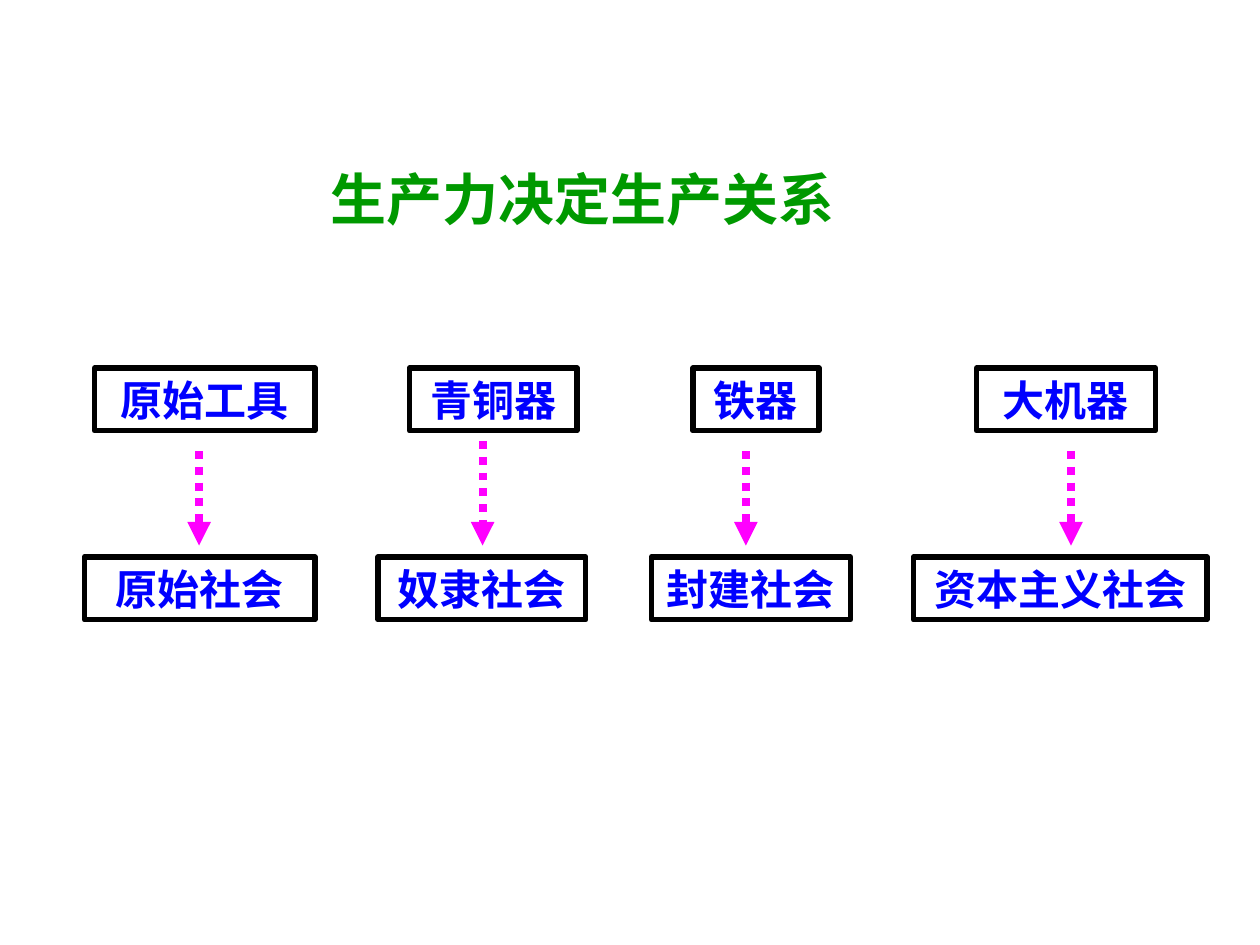
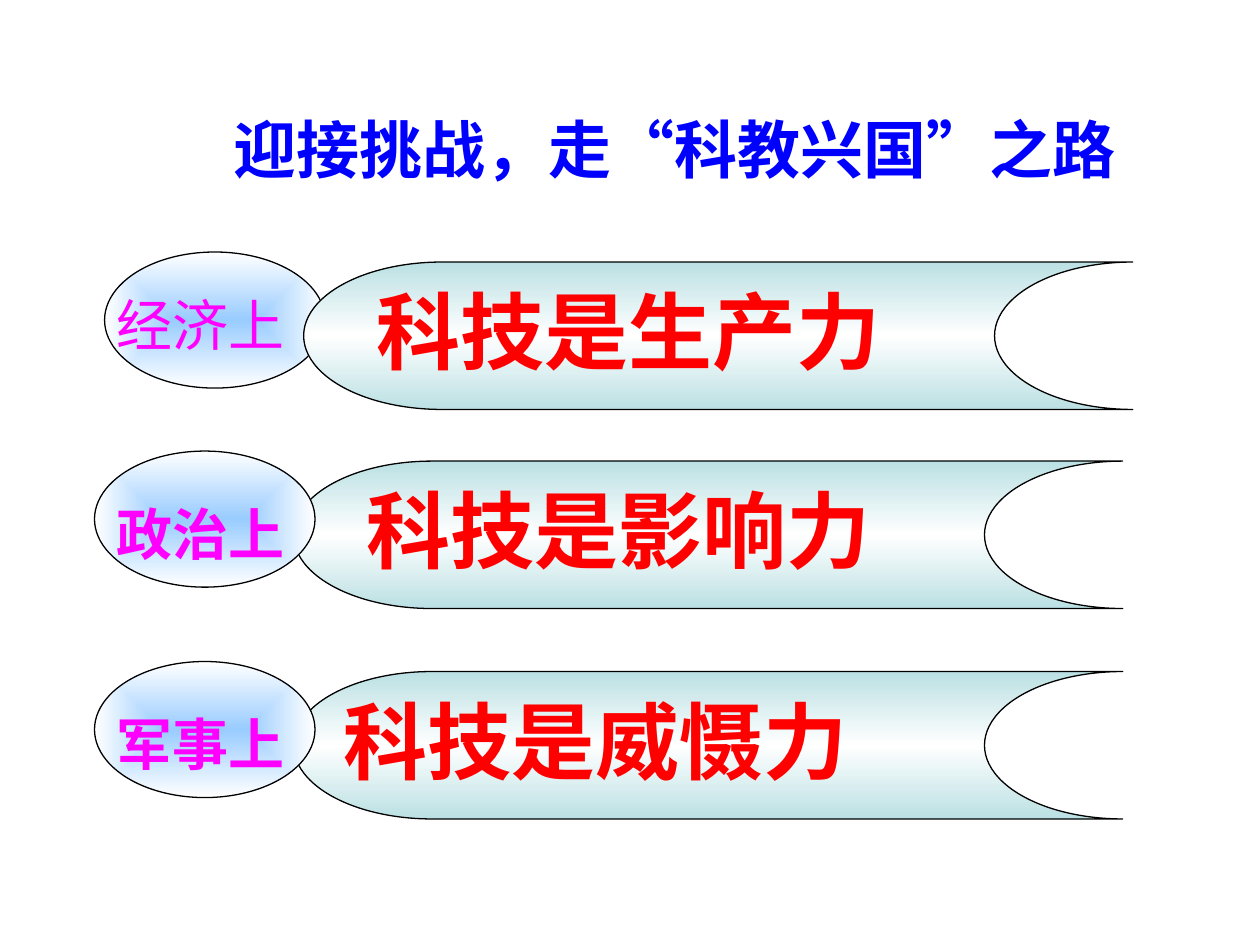
import pptx
import pptx.dml.color
import pptx.enum.dml
import pptx.enum.shapes
import pptx.enum.text
import pptx.oxml
import pptx.oxml.ns
import pptx.util
from dataclasses import dataclass

Inches = pptx.util.Inches
Align = pptx.enum.text.PP_ALIGN
Shape = pptx.enum.shapes.MSO_SHAPE


@dataclass(frozen=True)
class Theme:
    green: str = "009900"
    blue: str = "0000FF"
    magenta: str = "FF00FF"
    red: str = "FF0000"
    black: str = "000000"
    white: str = "FFFFFF"
    sky: str = "99CCFF"
    teal: str = "BBE0E3"
    latin: str = "Times New Roman"
    chinese: str = "Noto Sans CJK SC"
    heading: str = "Noto Sans CJK JP"
    box_size: int = 24
    label_size: int = 32
    title_size: int = 36
    motto_size: int = 48


THEME = Theme()


def rgb(code):
    return pptx.dml.color.RGBColor.from_string(code)


def apply(target, values):
    for name, value in values.items():
        setattr(target, name, value)


def write(shape, spans, size, color, align=Align.CENTER, bold=True, indent=0.1):
    """Fill a shape with one paragraph of (text, font) spans."""
    frame = shape.text_frame
    apply(frame, {
        "word_wrap": True,
        "auto_size": pptx.enum.text.MSO_AUTO_SIZE.NONE,
        "vertical_anchor": pptx.enum.text.MSO_ANCHOR.MIDDLE,
        "margin_left": Inches(indent), "margin_right": Inches(0.1),
        "margin_top": Inches(0.05), "margin_bottom": Inches(0.05),
    })
    para = frame.paragraphs[0]
    para.alignment = align
    for text, face in spans:
        span = para.add_run()
        span.text = text
        apply(span.font, {"name": face, "size": pptx.util.Pt(size), "bold": bold})
        span.font.color.rgb = rgb(color)
        # East Asian typeface follows the Latin one
        east = span.font._element.makeelement(pptx.oxml.ns.qn("a:ea"), {
            "typeface": THEME.chinese if face == THEME.latin else face})
        span.font._element.find(pptx.oxml.ns.qn("a:latin")).addnext(east)


def add_title(page, box, spans, size, color, align):
    title = page.shapes.title
    apply(title, dict(zip(("left", "top", "width", "height"), map(Inches, box))))
    write(title, spans, size, color, align)


def add_text(page, box, text, **style):
    shape = page.shapes.add_textbox(*map(Inches, box))
    write(shape, [(text, style.pop("face"))], align=Align.LEFT, **style)


def add_outlined(page, kind, box, line_width):
    shape = page.shapes.add_shape(kind, *map(Inches, box))
    shape.shadow.inherit = False
    shape.fill.solid()
    shape.fill.fore_color.rgb = rgb(THEME.white)
    shape.line.color.rgb = rgb(THEME.black)
    shape.line.width = pptx.util.Pt(line_width)
    return shape


def set_gradient(shape, colors, direction):
    """Replace the solid fill by evenly spaced colour stops."""
    step = 100000 // (len(colors) - 1)
    stops = "".join(f'<a:gs pos="{i * step}"><a:srgbClr val="{color}"/></a:gs>'
                    for i, color in enumerate(colors))
    gradient = pptx.oxml.parse_xml(
        f'<a:gradFill {pptx.oxml.ns.nsdecls("a")} rotWithShape="1">'
        f'<a:gsLst>{stops}</a:gsLst>{direction}</a:gradFill>')
    props = shape._element.spPr
    props.replace(props.find(pptx.oxml.ns.qn("a:solidFill")), gradient)


# Slide 1: each tool leads down to a society
def add_tool_box(page, left, top, width, text):
    box = add_outlined(page, Shape.RECTANGLE, (left, top, width, 0.5), 3)
    write(box, [(text, THEME.latin)], THEME.box_size, THEME.blue)


def add_arrow(page, x, top, bottom):
    arrow = page.shapes.add_connector(
        pptx.enum.shapes.MSO_CONNECTOR.STRAIGHT, *map(Inches, (x, top, x, bottom)))
    arrow.line.color.rgb = rgb(THEME.magenta)
    apply(arrow.line, {"width": pptx.util.Pt(4.5),
                       "dash_style": pptx.enum.dml.MSO_LINE.ROUND_DOT})
    declare = pptx.oxml.ns.nsdecls("a")
    arrow.line._get_or_add_ln().append(
        pptx.oxml.parse_xml(f'<a:tailEnd {declare} type="triangle"/>'))
    arrow._element.spPr.append(pptx.oxml.parse_xml(f"<a:effectLst {declare}/>"))


def build_productivity(page):
    add_title(page, (2, 1.25, 5.25, 0.64), [("生产力决定生产关系", THEME.latin)],
              THEME.label_size, THEME.green, Align.CENTER)
    tool_top, society_top = 2.92, 4.42
    # tool (left, width, text), society (left, width, text), arrow (x, top)
    stages = [
        ((0.75, 1.75, "原始工具"), (0.67, 1.83, "原始社会"), (1.58, 3.58)),
        ((3.25, 1.33, "青铜器"), (3, 1.65, "奴隶社会"), (3.83, 3.5)),
        ((5.5, 1, "铁器"), (5.17, 1.58, "封建社会"), (5.92, 3.58)),
        ((7.75, 1.42, "大机器"), (7.25, 2.33, "资本主义社会"), (8.5, 3.58)),
    ]
    for tool, society, arrow in stages:
        for top, (left, width, text) in ((tool_top, tool), (society_top, society)):
            add_tool_box(page, left, top, width, text)
        add_arrow(page, *arrow, society_top - 0.09)


# Slide 2: three fields, each an ellipse beside a band
def add_field(page, left, top, text, shift, face, bold):
    ellipse = add_outlined(page, Shape.OVAL, (left, top, 1.75, 1.08), 0.75)
    set_gradient(ellipse, [THEME.sky, THEME.white],
                 '<a:path path="rect"><a:fillToRect l="50000" t="50000" '
                 'r="50000" b="50000"/></a:path>')
    add_text(page, (left + shift[0], top + shift[1], 1.75, 0.64), text,
             face=face, size=THEME.label_size, color=THEME.magenta, bold=bold)


def add_band(page, left, top, text, shift, indent):
    band = add_outlined(page, Shape.FLOWCHART_STORED_DATA, (left, top, 6.58, 1.17), 0.75)
    set_gradient(band, [THEME.teal, THEME.white, THEME.teal],
                 '<a:lin ang="5400000" scaled="1"/>')
    add_text(page, (left + shift, top + 0.09, 5.25, 0.9), text, face=THEME.chinese,
             size=THEME.motto_size, color=THEME.red, indent=indent)


def build_challenge(page):
    face, quote = THEME.heading, THEME.latin
    add_title(page, (1.75, 0.83, 7.67, 0.7),
              [("迎接挑战，走", face), ("“", quote), ("科教兴国", face),
               ("”", quote), ("之路", face)],
              THEME.title_size, THEME.blue, Align.LEFT)
    lower = ((0.08, 0.33), THEME.chinese, True)
    # row origin, field and its style, motto with its shift and indent
    rows = [
        ((0.83, 2), ("经济上", (0, 0.25), THEME.latin, False), ("科技是生产力", 0.33, 0.25)),
        ((0.75, 3.58), ("政治上", *lower), ("科技是影响力", 0.33, 0.25)),
        ((0.75, 5.25), ("军事上", *lower), ("科技是威慑力", 0, 0.4)),
    ]
    for index, ((left, top), field, motto) in enumerate(rows):
        parts = [(add_band, left + 1.58, top + 0.08, motto),
                 (add_field, left, top, field)]
        # Only the first band overlaps its ellipse
        for add_part, x, y, content in parts[::-1] if index == 0 else parts:
            add_part(page, x, y, *content)


def main():
    deck = pptx.Presentation()
    apply(deck, {"slide_width": Inches(10), "slide_height": Inches(7.5)})
    title_only = deck.slide_layouts[5]
    for build in (build_productivity, build_challenge):
        build(deck.slides.add_slide(title_only))
    deck.save("out.pptx")


if __name__ == "__main__":
    main()
